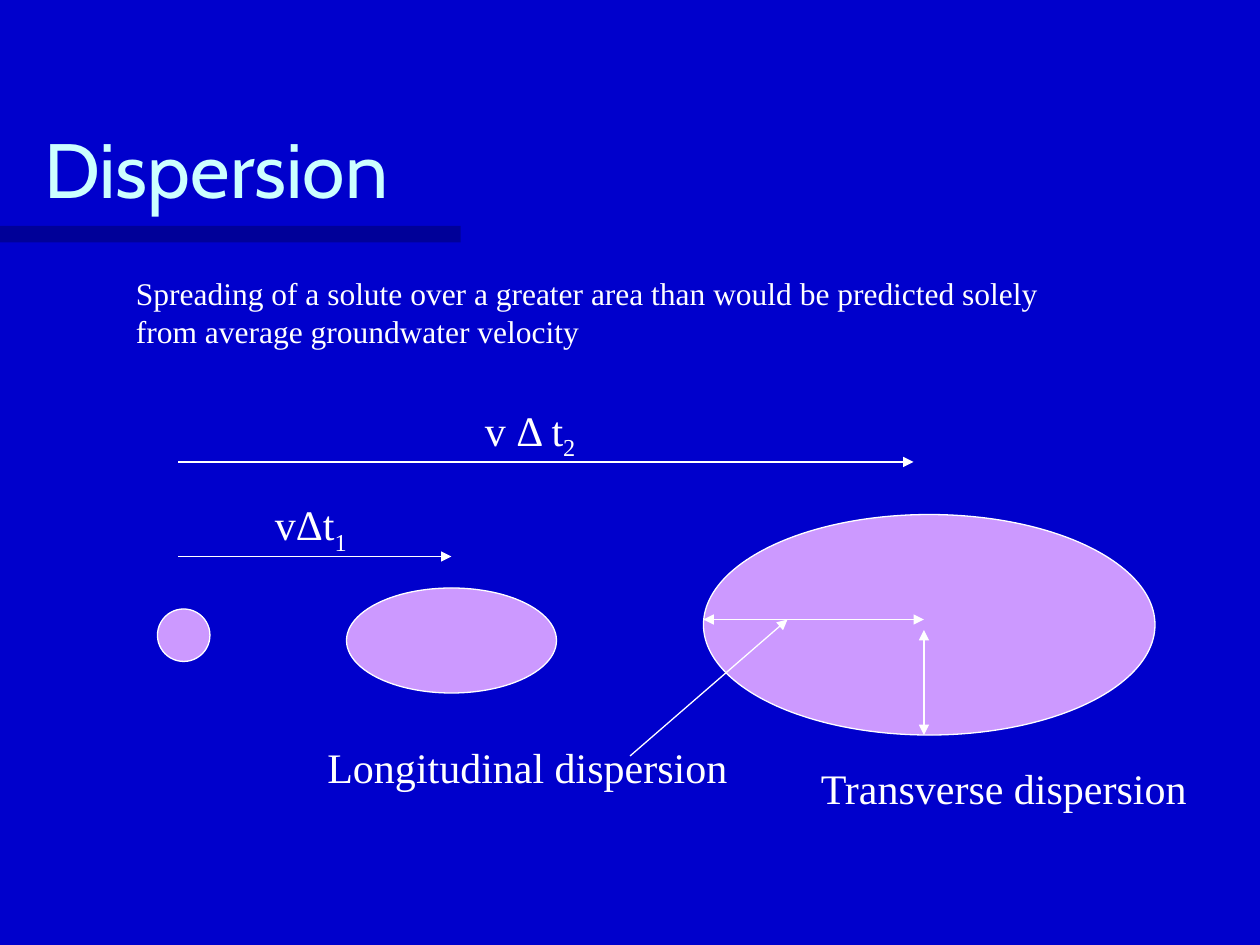
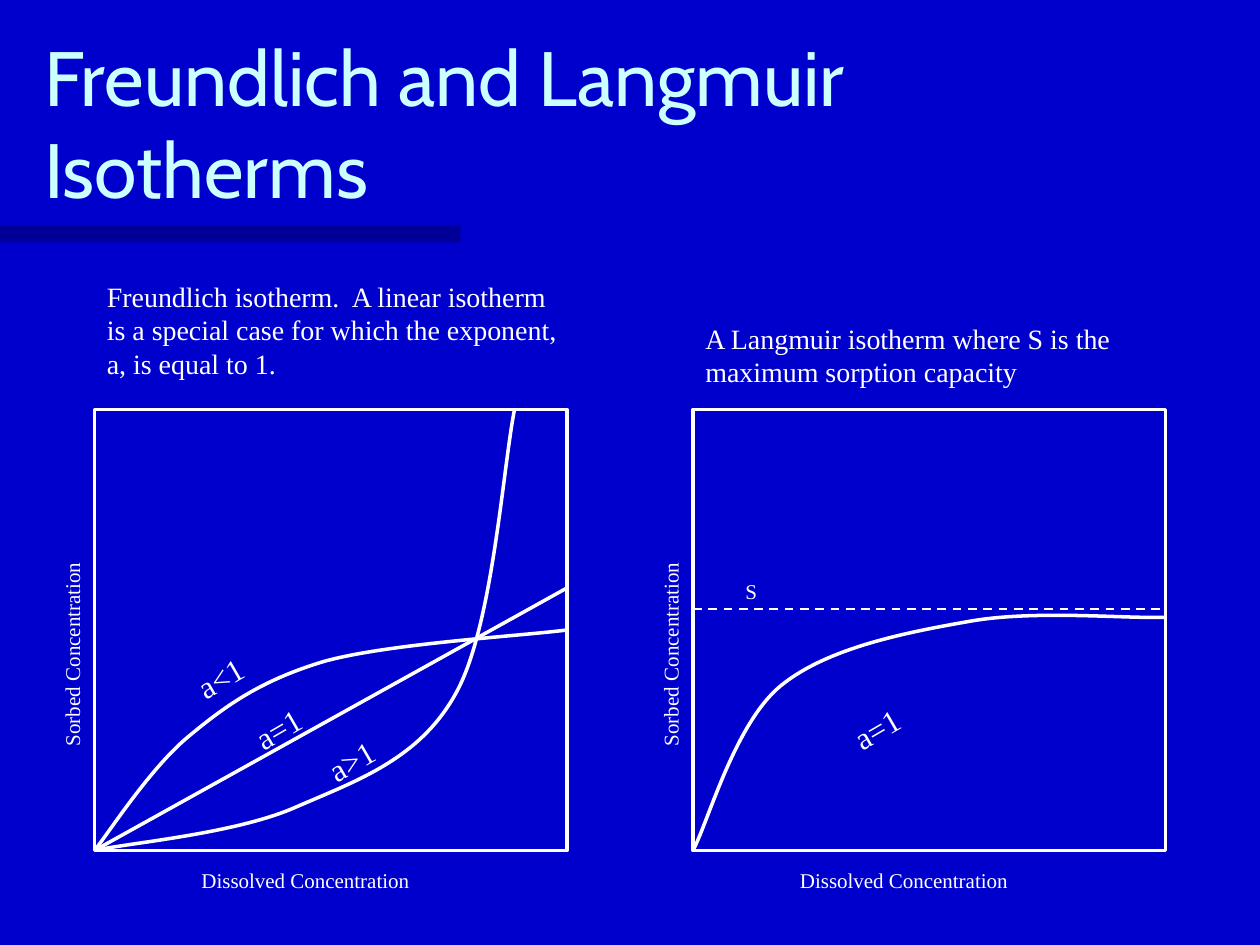
from lxml.etree import SubElement
from pptx import Presentation
from pptx.dml.color import RGBColor
from pptx.enum.dml import MSO_LINE
from pptx.enum.shapes import MSO_CONNECTOR, MSO_SHAPE
from pptx.enum.text import MSO_ANCHOR, MSO_AUTO_SIZE, PP_ALIGN
from pptx.oxml.ns import qn
from pptx.util import Pt

INK = {"back": "0000CC", "band": "000066", "title": "CCFFFF",
       "text": "FFFFFF", "plume": "CC99FF"}
FONT = {"title": "Cabin", "text": "Times New Roman"}
TILT = 329.9


def tint(name):
    """Return the named colour."""
    return RGBColor.from_string(INK[name])


def write(par, words, size, role="text"):
    """Add one formatted run to a paragraph."""
    run = par.add_run()
    run.text = words
    run.font.size = Pt(size)
    run.font.name = FONT[role]
    run.font.color.rgb = tint(role)


def label(slide, box, words, size, sub="", wrap=False, turn=0):
    """Place a text box, with an optional subscript and rotation."""
    shape = slide.shapes.add_textbox(*map(Pt, box))
    shape.rotation = turn
    frame = shape.text_frame
    frame.word_wrap = wrap
    frame.auto_size = MSO_AUTO_SIZE.SHAPE_TO_FIT_TEXT
    par = frame.paragraphs[0]
    write(par, words, size)
    if sub:
        write(par, sub, size)
        list(shape.element.iter(qn("a:rPr")))[-1].set("baseline", "-25000")


def paint(shape, fill=None, width=0):
    """Set the fill and outline of a shape, without shadow."""
    shape.shadow.inherit = False
    if fill:
        shape.fill.solid()
        shape.fill.fore_color.rgb = tint(fill)
    else:
        shape.fill.background()
    if width:
        shape.line.color.rgb = tint("text")
        shape.line.width = Pt(width)
    else:
        shape.line.fill.background()


def solid(host, kind, box, fill=None, width=0):
    """Add a painted preset shape to a slide or group."""
    shape = host.shapes.add_shape(kind, *map(Pt, box))
    paint(shape, fill, width)
    return shape


def rule(slide, ends, width=0.75, tips=(), dash=None):
    """Draw a straight line with optional arrowheads and dash."""
    line = slide.shapes.add_connector(MSO_CONNECTOR.STRAIGHT, *map(Pt, ends))
    line.line.color.rgb = tint("text")
    line.line.width = Pt(width)
    if dash:
        line.line.dash_style = dash
    props = line.element.spPr
    for tip in tips:
        SubElement(props.find(qn("a:ln")), qn(tip), type="triangle")
    SubElement(props, qn("a:effectLst"))


def curve(host, left, base, knots):
    """Draw cubic bends from the plot origin, three knots to each bend."""
    pen = host.shapes.build_freeform(Pt(left), Pt(base))
    pen.add_line_segments([(Pt(left + x), Pt(base - y)) for x, y in knots],
                          close=False)
    shape = pen.convert_to_shape()
    paint(shape, width=2)
    track = next(shape.element.iter(qn("a:path")))
    legs = track.findall(qn("a:lnTo"))
    for first in range(0, len(legs), 3):
        bend = SubElement(track, qn("a:cubicBezTo"))
        for leg in legs[first:first + 3]:
            bend.append(leg[0])
            track.remove(leg)


def start(deck, words):
    """Add a slide and set its title."""
    slide = deck.slides.add_slide(deck.slide_layouts[5])
    title = slide.shapes.title
    title.left, title.top, title.width, title.height = map(
        Pt, (18, 36, 612, 90))
    frame = title.text_frame
    frame.word_wrap = True
    frame.auto_size = MSO_AUTO_SIZE.NONE
    frame.vertical_anchor = MSO_ANCHOR.BOTTOM
    par = frame.paragraphs[0]
    par.alignment = PP_ALIGN.LEFT
    write(par, words, 44, "title")
    return slide


def dress(deck, slide):
    """Give the master its background and its band."""
    master = deck.slide_master
    master.background.fill.solid()
    master.background.fill.fore_color.rgb = tint("back")
    band = solid(slide, MSO_SHAPE.RECTANGLE, (0, 129, 263.3, 9.5), "band")
    color = next(band.element.iter(qn("a:srgbClr")))
    SubElement(color, qn("a:alpha"), val="50000")
    band.element.nvSpPr.cNvPr.set("id", "99")
    master.shapes.element.insert(2, band.element)


def spread(slide, left, top):
    """Draw the growing plume with its arrows and labels."""
    for x, y, wide, high in ((20, 198, 30, 30), (128, 186, 120, 60),
                             (332, 144, 258, 126)):
        solid(slide, MSO_SHAPE.OVAL, (left + x, top + y, wide, high),
              "plume", 0.75)
    one, both = ("a:tailEnd",), ("a:headEnd", "a:tailEnd")
    for x, y, far, low, tips in ((32, 114, 452, 114, one),
                                 (32, 168, 188, 168, one),
                                 (458, 210, 458, 270, both),
                                 (458, 204, 332, 204, both),
                                 (290, 282, 380, 204, one)):
        rule(slide, (left + x, top + y, left + far, top + low), tips=tips)
    for x, y, wide, words, sub in (
            (200, 77.5, 67.8, "v Δ t", "2"),
            (80, 131.5, 55.5, "vΔt", "1"),
            (110, 270, 243.2, "Longitudinal dispersion", ""),
            (392, 282, 225, "Transverse dispersion", "")):
        label(slide, (left + x, top + y, wide, 36), words, 24, sub)
    label(slide, (left + 0.6, top + 3.1, 547.2, 50.4),
          "Spreading of a solute over a greater area than would be "
          "predicted solely from average groundwater velocity", 18, wrap=True)


def plot(slide, host, box, note, rise, deep, curves, tags):
    """Draw a framed isotherm plot in the host, with note, names and tags."""
    left, top, wide, high = box
    solid(host, MSO_SHAPE.RECTANGLE, box, width=2)
    for knots in curves:
        curve(host, left, top + high, knots)
    label(slide, (left + 54, top + high + 6, 134, 21.6),
          "Dissolved Concentration", 12)
    label(slide, (left - 72.7, top + 128.9, 119.5, 21.6),
          "Sorbed Concentration", 12, turn=270)
    for x, y, words in tags:
        label(slide, (left + x, top + y, 41.8, 28.8), words, 18, turn=TILT)
    label(slide, (left, top - rise, wide + 1.4, deep), note, 16, wrap=True)


def limit(slide, box, drop):
    """Mark the sorption limit across a plot."""
    left, top, wide, high = box
    rule(slide, (left, top + drop, left + wide, top + drop), 1.25,
         dash=MSO_LINE.DASH)
    label(slide, (left + 22.8, top + drop - 20.9, 20.9, 21.6), "S", 12)


EVEN = ((0, 0), (135, 75), (270, 150))
BELOW = ((8.6, 10.8), (31.7, 46.8), (53.3, 64.8),
         (74.9, 82.8), (95, 97.2), (131, 108),
         (167, 118.1), (241.2, 122.4), (270, 126))
ABOVE = ((19.4, 4.3), (79.9, 9.4), (114.5, 24.5),
         (149, 39.6), (185.8, 51.8), (206.6, 90),
         (227.5, 127.4), (233.3, 218.2), (240, 252))
LEVEL = ((8.6, 15.8), (23.8, 72.7), (50.4, 94.3),
         (77, 115.9), (121.7, 124.6), (158.4, 131),
         (195.1, 137.5), (246.2, 132.5), (269.3, 133.2))
UNIT = (84.2, 167.8, "a=1")


def main():
    """Build and save both slides."""
    deck = Presentation()
    deck.slide_width, deck.slide_height = Pt(720), Pt(540)
    slide = start(deck, "Dispersion")
    dress(deck, slide)
    spread(slide, 70, 150)

    slide = start(deck, "Freundlich and Langmuir Isotherms")
    plot(slide, slide.shapes.add_group_shape(), (54, 234, 270, 252),
         "Freundlich isotherm.  A linear isotherm is a special case for "
         "which the exponent, a, is equal to 1.", 78, 64.8,
         (EVEN, BELOW, ABOVE),
         ((51.1, 139, "a<1"), UNIT, (126, 186, "a>1")))
    box = (396, 234, 270, 252)
    plot(slide, slide, box, "A Langmuir isotherm where S is the maximum "
         "sorption capacity", 54, 46, (LEVEL,), (UNIT,))
    limit(slide, box, 113.8)
    deck.save("out.pptx")


main()
